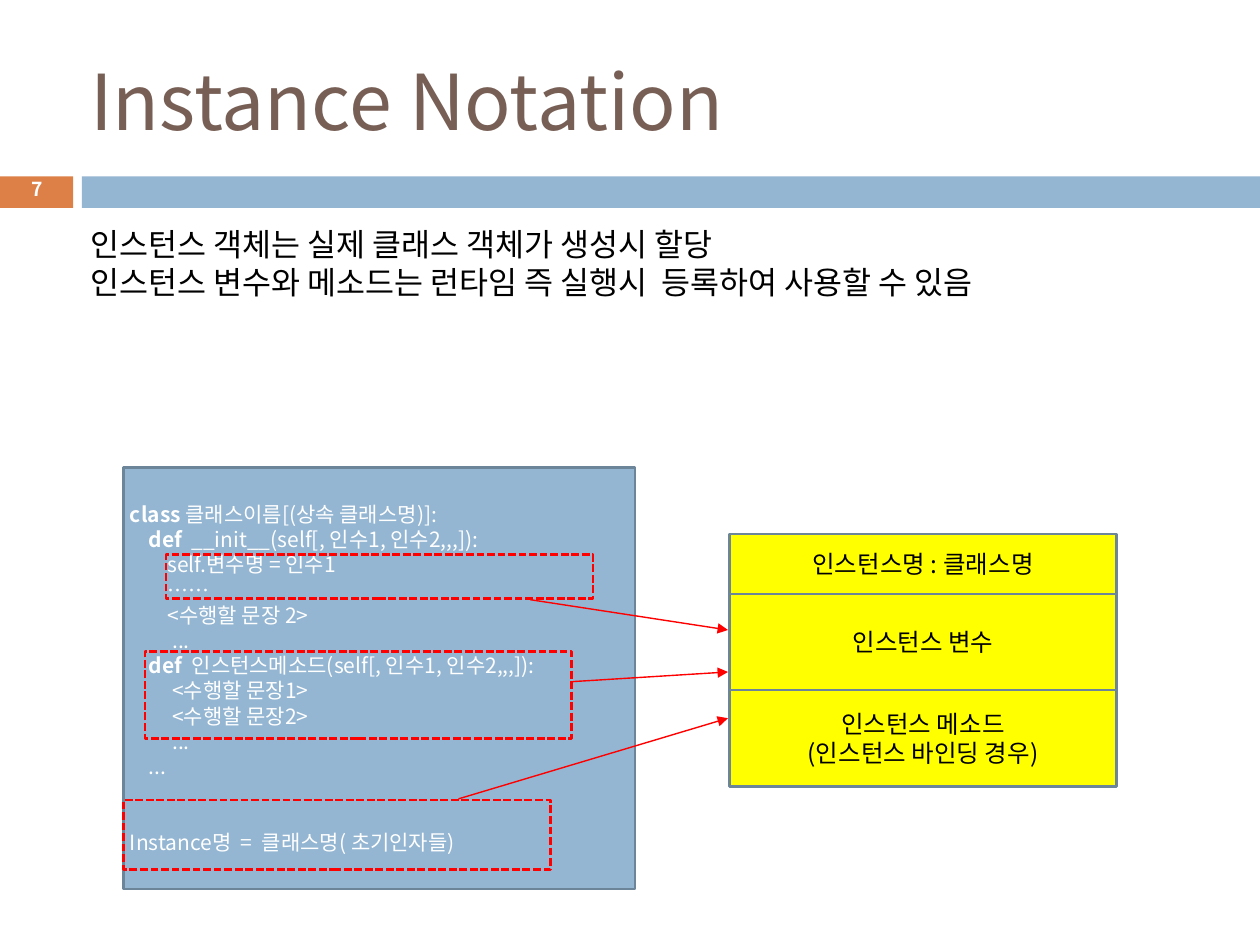
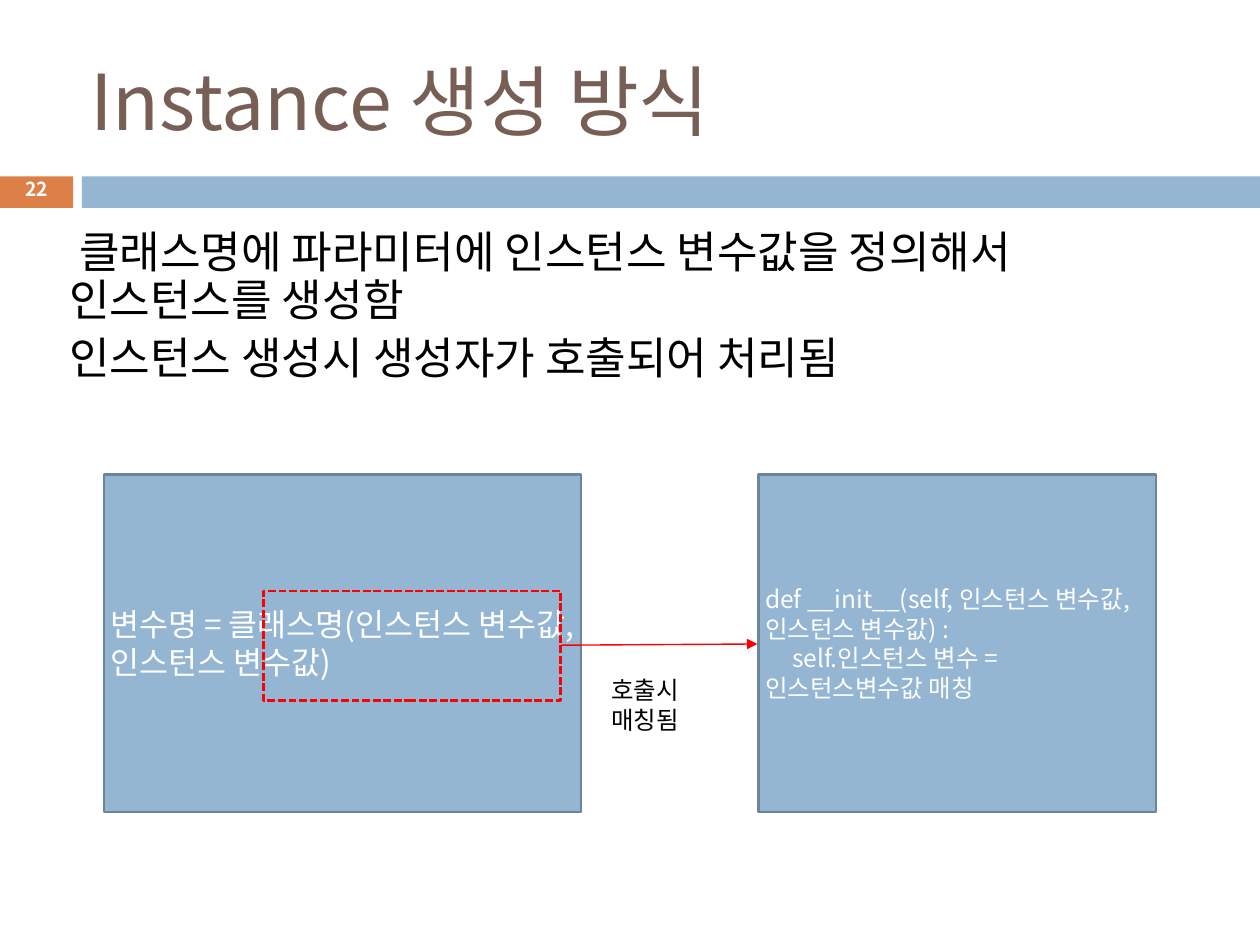
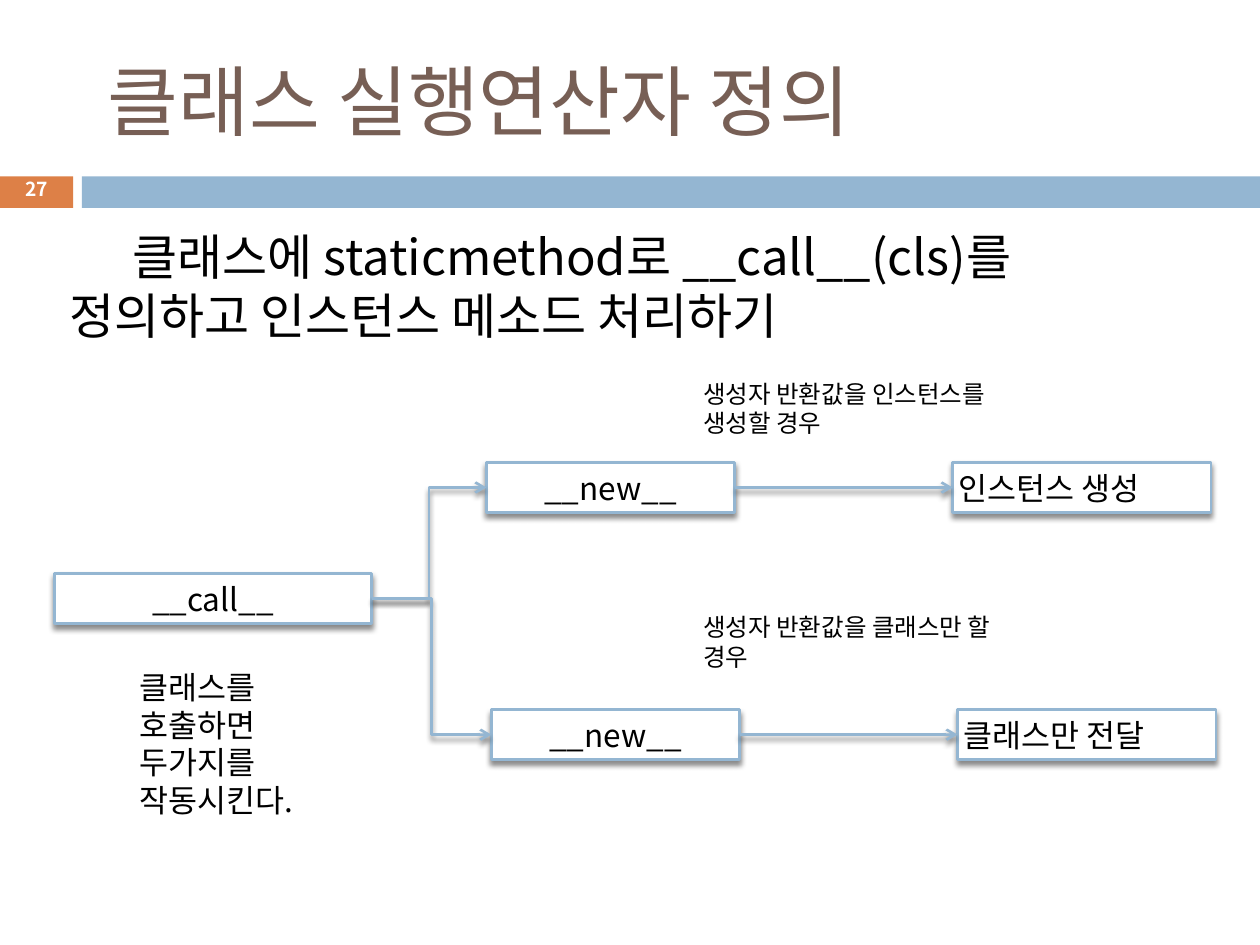
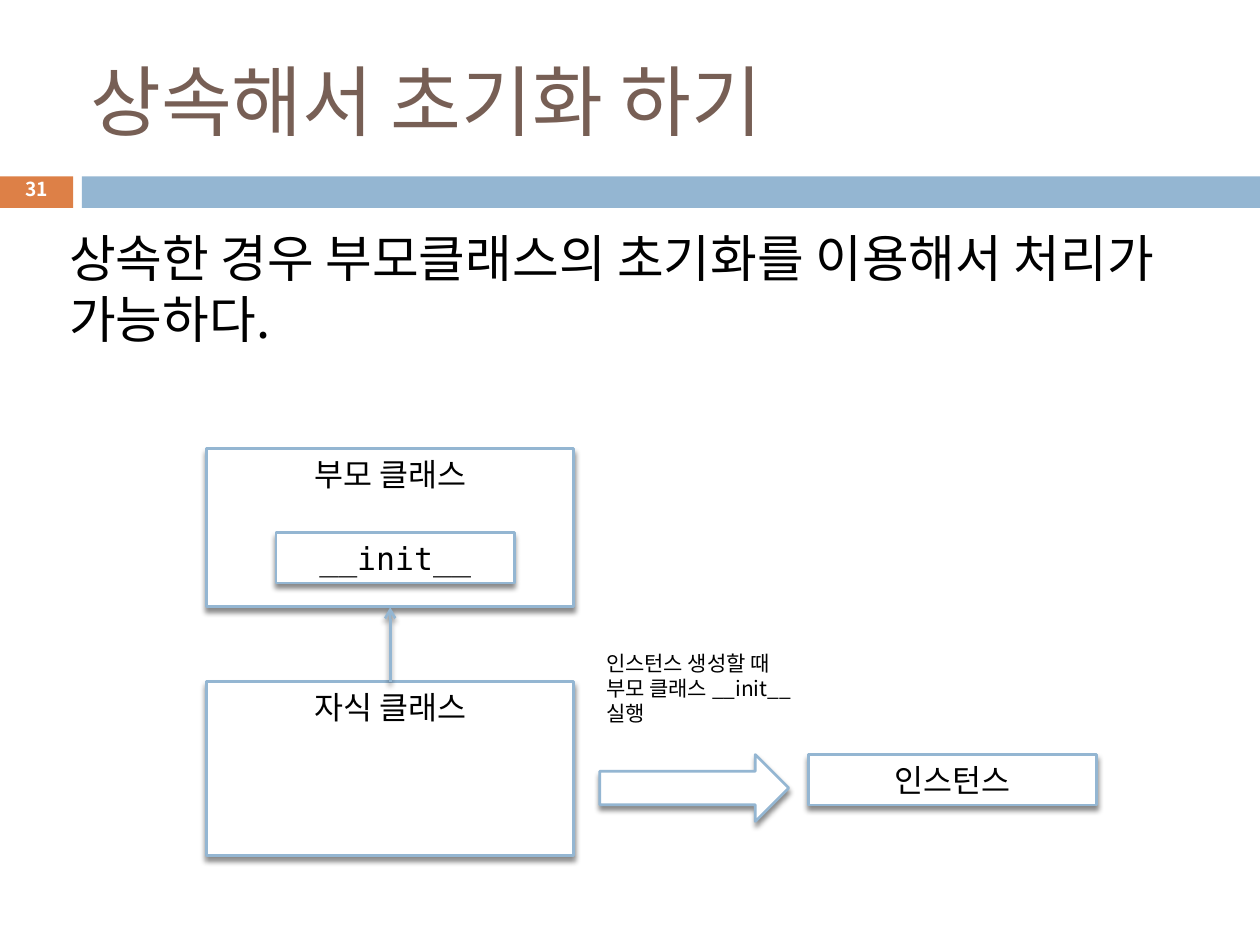
from dataclasses import dataclass
from typing import NamedTuple

from pptx import Presentation
from pptx.dml.color import RGBColor
from pptx.enum import dml, shapes, text
from pptx.oxml.ns import qn
from pptx.oxml.xmlchemy import OxmlElement
from pptx.util import Pt

# Shared look
SANS, MONO = "Noto Sans CJK KR", "DejaVu Sans Mono"
BLUE, EDGE, ORANGE, BROWN = "94B6D2", "6C8599", "DD8047", "775F55"
RED, YELLOW, BLACK, WHITE = "FF0000", "FFFF00", "000000", "FFFFFF"
LEFT, MID = text.PP_ALIGN.LEFT, text.PP_ALIGN.CENTER
TOP, HALF = text.MSO_ANCHOR.TOP, text.MSO_ANCHOR.MIDDLE
RECT, ARROW = shapes.MSO_SHAPE.RECTANGLE, shapes.MSO_SHAPE.RIGHT_ARROW
STRAIGHT, ELBOW = shapes.MSO_CONNECTOR.STRAIGHT, shapes.MSO_CONNECTOR.ELBOW
PAD = 3.6
ROW = 28.8


class Box(NamedTuple):
    x: float
    y: float
    w: float
    h: float

    def pts(self) -> list:
        return [Pt(v) for v in self]


@dataclass
class Line:
    words: str
    bold: str = ""      # bold words in front
    dent: float = 0     # first-line indent
    gap: float = 0      # space before


@dataclass
class Style:
    size: float
    color: str = BLACK
    align: int = LEFT
    anchor: int = TOP
    font: str = SANS
    bold: bool = False
    space: float = 1.0


NOTE = Style(14)
LABEL = Style(18, align=MID, anchor=HALF)
CELL = Style(14, align=MID, anchor=HALF)


def rgb(code: str) -> RGBColor:
    return RGBColor.from_string(code)


def child(parent, tag: str, **attrs):
    node = OxmlElement(tag)
    for key, val in attrs.items():
        node.set(key, str(val))
    parent.append(node)
    return node


# Text
def put(shape, lines, style: Style) -> None:
    if isinstance(lines, str):
        lines = [Line(lines)]
    frame = shape.text_frame
    frame.word_wrap = True
    frame.auto_size = text.MSO_AUTO_SIZE.NONE
    frame.vertical_anchor = style.anchor
    frame.margin_left = frame.margin_right = Pt(PAD)
    frame.margin_top = frame.margin_bottom = Pt(PAD)
    for i, line in enumerate(lines):
        para = frame.add_paragraph() if i else frame.paragraphs[0]
        if line.bold:
            run = para.add_run()
            run.text, run.font.bold = line.bold, True
        para.add_run().text = line.words
        para.alignment = style.align
        para.line_spacing = style.space
        para.space_before = Pt(line.gap)
        prop = para._p.get_or_add_pPr()
        prop.set("marL", "0")
        prop.set("indent", str(Pt(line.dent)))
        child(prop, "a:buNone")
        font = para.font
        font.size, font.bold, font.name = Pt(style.size), style.bold, style.font
        font.color.rgb = rgb(style.color)
        child(font._rPr, "a:ea", typeface=SANS)


def note(slide, box: Box, lines, style: Style = NOTE) -> None:
    put(slide.shapes.add_textbox(*box.pts()), lines, style)


# Shapes and lines
def effect(shape, shade: bool) -> None:
    fx = child(shape._element.spPr, "a:effectLst")
    if shade:
        drop = child(fx, "a:outerShdw", blurRad=Pt(3), dist=Pt(2.4),
                     dir=90 * 60000, rotWithShape=0)
        tint = child(drop, "a:srgbClr", val=BLACK)
        child(tint, "a:alpha", val=45000)


def block(slide, box: Box, fill: str = "", edge: str = "", lines=None,
          style: Style = LABEL, shade: bool = False, kind=RECT):
    shape = slide.shapes.add_shape(kind, *box.pts())
    if fill:
        shape.fill.solid()
        shape.fill.fore_color.rgb = rgb(fill)
    else:
        shape.fill.background()
    if edge:
        shape.line.color.rgb = rgb(edge)
        shape.line.width = Pt(1.5)
    else:
        shape.line.fill.background()
    effect(shape, shade)
    if lines:
        put(shape, lines, style)
    return shape


def card(slide, box: Box, lines=None, style: Style = LABEL, kind=RECT) -> None:
    block(slide, box, WHITE, BLUE, lines, style, True, kind)


def dash(slide, box: Box) -> None:
    shape = block(slide, box, edge=RED)
    shape.line.dash_style = dml.MSO_LINE.SQUARE_DOT


def link(slide, start: tuple, end: tuple, color: str = BLUE, width: float = 1.5,
         head: str = "arrow", shade: bool = True, kind=STRAIGHT) -> None:
    line = slide.shapes.add_connector(kind, *[Pt(v) for v in start + end])
    line.line.color.rgb = rgb(color)
    line.line.width = Pt(width)
    child(line.line._get_or_add_ln(), "a:tailEnd", type=head)
    effect(line, shade)


def point(slide, start: tuple, end: tuple) -> None:
    link(slide, start, end, RED, 0.79, "triangle", False)


# Slide frame: title, bands, page number, body
def place(shape, box: Box) -> None:
    shape.left, shape.top, shape.width, shape.height = box.pts()


def page(deck, num: int, title: str, dent: float = 0, body: bool = True):
    slide = deck.slides.add_slide(deck.slide_layouts[1 if body else 5])
    place(slide.shapes.title, Box(48, 18, 642, 78))
    put(slide.shapes.title, [Line(title, dent=dent)],
        Style(44, BROWN, anchor=HALF))
    block(slide, Box(0, 100.8, 41.8, 18), ORANGE)
    block(slide, Box(46.8, 100.8, 673.2, 18), BLUE)
    note(slide, Box(0, 98.6, 42, 21.6), str(num),
         Style(11, WHITE, MID, HALF, bold=True, space=0.8))
    return slide


def fill(slide, box: Box, lines: list, style: Style) -> None:
    body = slide.placeholders[1]
    place(body, box)
    put(body, lines, style)


deck = Presentation()
deck.slide_width, deck.slide_height = Pt(720), Pt(540)

# Slide 1: notation
one = page(deck, 7, "Instance Notation", body=False)
note(one, Box(48, 125.3, 629, 51), [
    Line("인스턴스 객체는 실제 클래스 객체가 생성시 할당"),
    Line("인스턴스 변수와 메소드는 런타임 즉 실행시  등록하여 사용할 수 있음"),
], Style(18))

top = 305.2
for tall, rows in [
    (34.2, ["인스턴스명 : 클래스명"]),
    (55, ["인스턴스 변수"]),
    (55, ["인스턴스 메소드", "(인스턴스 바인딩 경우)"]),
]:
    block(one, Box(417, top, 221, tall), YELLOW, EDGE,
          [Line(row) for row in rows], CELL)
    top += tall

STEP = 10.75    # one level of code
DEEP = 2.25 * STEP
code = [
    Line("클래스이름[(상속 클래스명)]:", "class "),
    Line("  __init__(self[, 인수1, 인수2,,,]):", "def", STEP),
    Line("self.변수명 = 인수1", dent=2 * STEP),
    Line("……", dent=2 * STEP),
    Line("<수행할 문장 2>", dent=2 * STEP),
    Line("...", dent=DEEP),
    Line("인스턴스메소드(self[, 인수1, 인수2,,,]):", "def  ", STEP),
    Line("<수행할 문장1>", dent=DEEP),
    Line("<수행할 문장2>", dent=DEEP),
    Line("...", dent=DEEP),
    Line("...", dent=STEP),
    Line("Instance명  =  클래스명( 초기인자들)", gap=29),
]
block(one, Box(70.7, 267, 292.2, 241), BLUE, EDGE, code,
      Style(12, WHITE, anchor=HALF))
for box, start, end in [
    (Box(70.7, 457.2, 244, 39.6), (262, 456.5), (416, 410.4)),
    (Box(82.8, 372.2, 244, 49.7), (327.5, 389.5), (416, 384)),
    (Box(95, 317, 244, 25.2), (303, 342.7), (416, 360)),
]:
    dash(one, box)
    point(one, start, end)

# Slide 2: creating an instance
two = page(deck, 22, "Instance 생성 방식")
fill(two, Box(36, 128.2, 648, 108), [
    Line("클래스명에 파라미터에 인스턴스 변수값을 정의해서 인스턴스를 생성함",
         dent=5.6, gap=6),
    Line("인스턴스 생성시 생성자가 호출되어 처리됨", gap=6),
], Style(25.2, space=0.9))
block(two, Box(59.5, 271.2, 272.5, 192.8), BLUE, EDGE,
      "변수명 = 클래스명(인스턴스 변수값,인스턴스 변수값)",
      Style(18, WHITE, anchor=HALF))
block(two, Box(433.6, 271.2, 227, 192.8), BLUE, EDGE, [
    Line("def __init__(self, 인스턴스 변수값,인스턴스 변수값) :"),
    Line("self.인스턴스 변수 = 인스턴스변수값 매칭", dent=15.6),
], Style(14, WHITE, anchor=HALF))
dash(two, Box(150.5, 337.7, 170, 62.6))
point(two, (321, 368.7), (432.8, 368))
note(two, Box(345.6, 382.3, 62.6, 42.5), "호출시 매칭됨")

# Slide 3: call operator
three = page(deck, 27, "클래스 실행연산자 정의", dent=9.9)
fill(three, Box(36, 126, 648, 98.6), [
    Line("클래스에 staticmethod로 __call__(cls)를 정의하고 인스턴스 메소드 처리하기",
         dent=36, gap=5),
], Style(28))
call = Box(31, 327.6, 181.4, ROW)
exit = (call.x + call.w, call.y + ROW / 2)
card(three, call, "__call__")
for x, y, goal, hint, high in [
    (278, 264.2, "인스턴스 생성", "생성자 반환값을 인스턴스를 생성할 경우", 213),
    (280.8, 405.4, "클래스만 전달", "생성자 반환값을 클래스만 할 경우", 346.3),
]:
    mid = y + ROW / 2
    card(three, Box(x, y, 141.8, ROW), "__new__")
    card(three, Box(x + 266.4, y, 147.6, ROW), goal, Style(18, anchor=HALF))
    link(three, (x + 141.8, mid), (x + 266.4, mid))
    link(three, exit, (x, mid), kind=ELBOW)
    note(three, Box(398.2, high, 175.7, 41), hint)
note(three, Box(76.4, 378, 124.6, 94.3),
     "클래스를 호출하면 두가지를 작동시킨다.", Style(18))

# Slide 4: inheritance
four = page(deck, 31, "상속해서 초기화 하기")
fill(four, Box(36, 126, 648, 126.7), [
    Line("상속한 경우 부모클래스의 초기화를 이용해서 처리가 가능하다.", gap=7),
], Style(29))
for y, tall, name in [(256.3, 90.3, "부모 클래스"), (389.5, 99.4, "자식 클래스")]:
    card(four, Box(118, y, 209.8, tall), name, Style(18, align=MID))
link(four, (223, 389.5), (223, 347))
CODE = Style(18, align=MID, anchor=HALF, font=MONO)
card(four, Box(157.7, 304.4, 136.2, ROW), "__init__", CODE)
card(four, Box(462, 431.2, 164.6, ROW), "인스턴스", CODE)
card(four, Box(342.7, 431.2, 108, 38.2), kind=ARROW)
note(four, Box(342.7, 368, 118.8, 51),
     "인스턴스 생성할 때 부모 클래스 __init__ 실행", Style(12))

deck.save("out.pptx")
